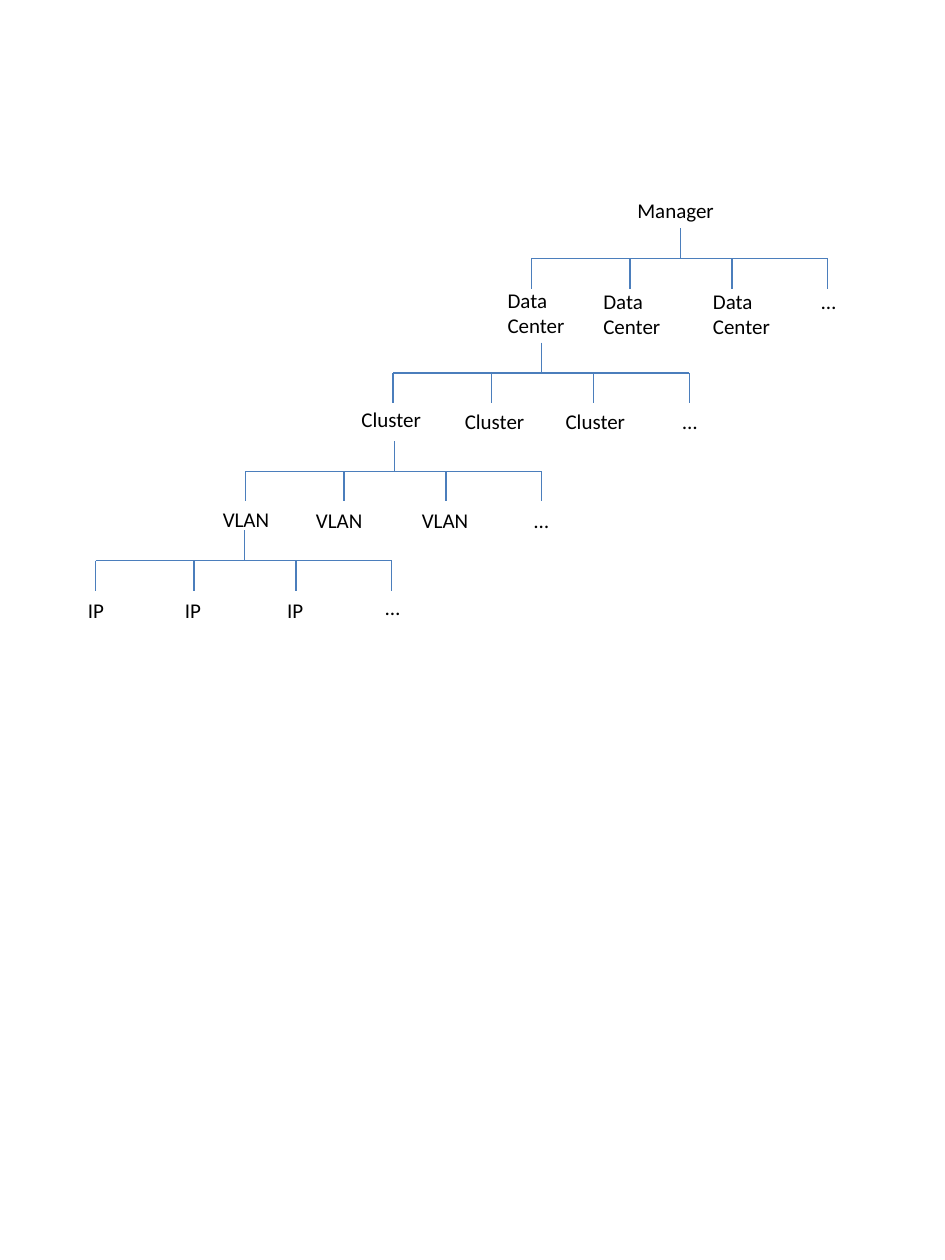
from pptx import Presentation
from pptx.dml.color import RGBColor
from pptx.enum.shapes import MSO_CONNECTOR as CONN
from pptx.enum.text import MSO_AUTO_SIZE as AUTO
from pptx.oxml.ns import qn
from pptx.util import Inches, Pt
from lxml import etree

prs = Presentation()
prs.slide_width, prs.slide_height = Inches(7.5), Inches(10)
s = prs.slides.add_slide(prs.slide_layouts[6])


def add_text(text, x, y, w, h=0.3, size=12, color="000000", font="Calibri"):
    sp = s.shapes.add_textbox(Inches(x), Inches(y), Inches(w), Inches(h))
    tf = sp.text_frame
    tf.word_wrap = False
    tf.auto_size = AUTO.SHAPE_TO_FIT_TEXT
    tf.text = text
    for p in tf.paragraphs:
        for r in p.runs:
            r.font.size = Pt(size)
            r.font.name = font
            r.font.color.rgb = RGBColor.from_string(color)


def add_line(shapes, x1, y1, x2, y2, color="4B7EBC"):
    line = shapes.add_connector(CONN.STRAIGHT, Inches(x1), Inches(y1), Inches(x2), Inches(y2))
    line.line.color.rgb = RGBColor.from_string(color)
    line.line.width = Pt(0.75)
    etree.SubElement(line._element.spPr, qn("a:effectLst"))


STEP = 0.24
BRANCHES = [0, 0.78, 1.59, 2.35]
STEM = 1.18

levels = [
    (4.22, 1.81, "Data\nCenter", 0.66, 0.5, [(3.93, 2.23), (4.69, 2.24), (5.56, 2.24)], (6.42, 2.24)),
    (3.12, 2.72, "Cluster", 0.68, 0.3, [(2.77, 3.18), (3.59, 3.19), (4.39, 3.19)], (5.32, 3.19)),
    (1.95, 3.5, "VLAN", 0.57, 0.3, [(1.67, 3.97), (2.41, 3.98), (3.25, 3.98)], (4.14, 3.98)),
    (0.76, 4.21, "IP", 0.33, 0.3, [(0.6, 4.69), (1.37, 4.69), (2.18, 4.69)], (2.96, 4.67)),
]

add_text("Manager", 4.96, 1.52, 0.88)

for left, top, label, w, h, spots, more in levels:
    bracket = s.shapes.add_group_shape().shapes
    bar = top + STEP
    add_line(bracket, left + STEM, top, left + STEM, bar)
    add_line(bracket, left, bar, left + BRANCHES[-1], bar)
    for dx in BRANCHES:
        add_line(bracket, left + dx, bar, left + dx, bar + STEP)
    for x, y in spots:
        add_text(label, x, y, w, h)
    add_text("…", *more, 0.32)

prs.save("out.pptx")
